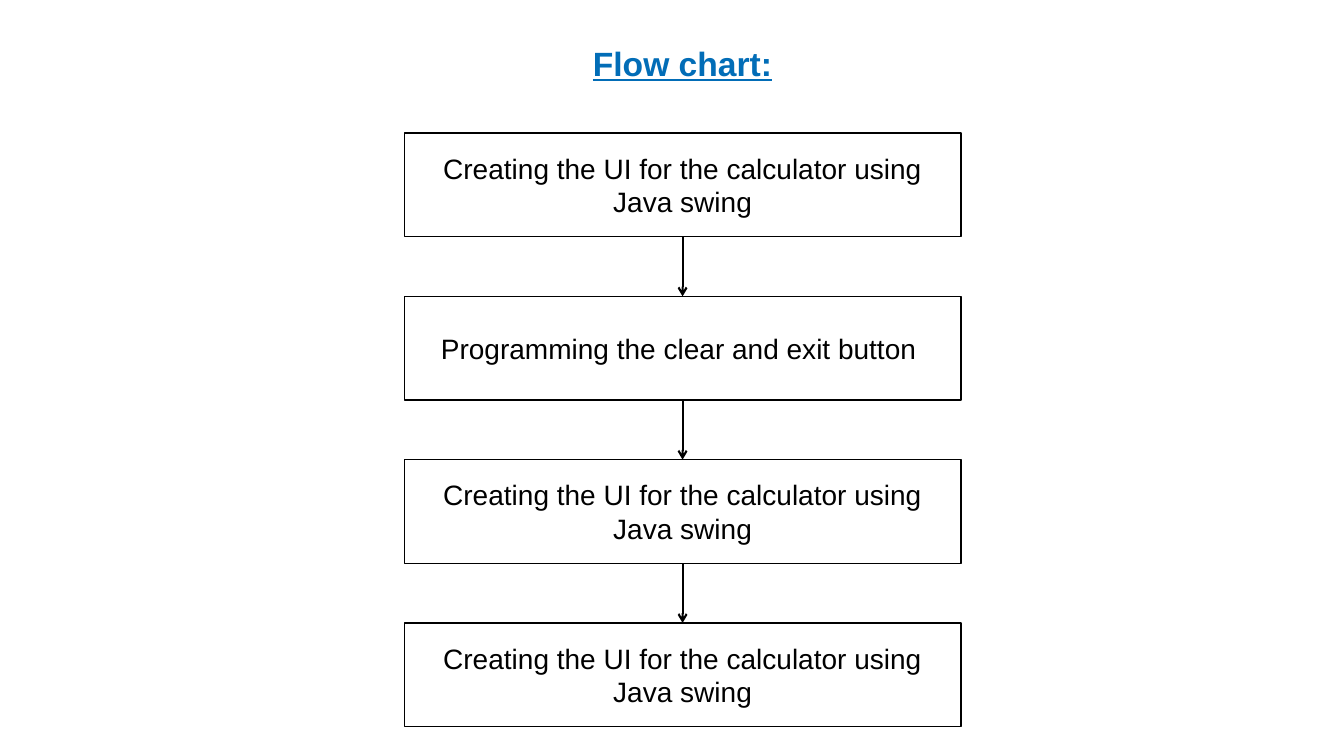
import pptx
import pptx.dml.color
import pptx.enum.shapes
import pptx.enum.text
import pptx.oxml.ns
import pptx.util
from lxml import etree

TITLE = "Flow chart:"
STEPS = [
    "Creating the UI for the calculator using Java swing",
    "Programming the clear and exit button ",
    "Creating the UI for the calculator using Java swing",
    "Creating the UI for the calculator using Java swing",
]

BLUE = pptx.dml.color.RGBColor(0x02, 0x6D, 0xB7)
BLACK = pptx.dml.color.RGBColor(0, 0, 0)
WHITE = pptx.dml.color.RGBColor(255, 255, 255)

SLIDE_WIDTH, SLIDE_HEIGHT = 13.33, 7.5
CENTER = 6.77
TITLE_TOP, TITLE_WIDTH, TITLE_HEIGHT = 0.19, 10, 0.69
STEP_TOP, STEP_WIDTH, STEP_HEIGHT = 1.32, 5.52, 1.03
STEP_PITCH = 1.62
BOTTOM_SIDE, TOP_SIDE = 2, 0


def write_text(shape, text, size, color, anchor):
    frame = shape.text_frame
    frame.word_wrap = True
    frame.vertical_anchor = anchor
    paragraph = frame.paragraphs[0]
    paragraph.text = text
    paragraph.alignment = pptx.enum.text.PP_ALIGN.CENTER
    paragraph.font.name = "Arial"
    paragraph.font.size = pptx.util.Pt(size)
    paragraph.font.color.rgb = color
    return paragraph


def centered_box(top, width, height):
    """Return left, top, width and height of a box on the chart's axis."""
    return [pptx.util.Inches(length)
            for length in (CENTER - width / 2, top, width, height)]


def add_title(slide):
    title = slide.shapes.add_textbox(
        *centered_box(TITLE_TOP, TITLE_WIDTH, TITLE_HEIGHT))
    paragraph = write_text(title, TITLE, 24, BLUE,
                           pptx.enum.text.MSO_ANCHOR.BOTTOM)
    paragraph.line_spacing = 0.9
    paragraph.font.bold = True
    paragraph.font.underline = True


def add_step(slide, row, text):
    step = slide.shapes.add_shape(
        pptx.enum.shapes.MSO_SHAPE.RECTANGLE,
        *centered_box(STEP_TOP + row * STEP_PITCH, STEP_WIDTH, STEP_HEIGHT))
    step.shadow.inherit = False
    step.fill.solid()
    step.fill.fore_color.rgb = WHITE
    step.line.color.rgb = BLACK
    step.line.width = pptx.util.Pt(1)
    write_text(step, text, 20, BLACK, pptx.enum.text.MSO_ANCHOR.MIDDLE)
    return step


def add_arrow(slide, upper, lower):
    arrow = slide.shapes.add_connector(
        pptx.enum.shapes.MSO_CONNECTOR.STRAIGHT, 0, 0, 0, 0)
    arrow.begin_connect(upper, BOTTOM_SIDE)
    arrow.end_connect(lower, TOP_SIDE)
    arrow.line.color.rgb = BLACK
    arrow.line.width = pptx.util.Pt(1.5)
    properties = arrow.element.spPr
    line = properties.find(pptx.oxml.ns.qn("a:ln"))
    etree.SubElement(line, pptx.oxml.ns.qn("a:tailEnd"), type="arrow")
    etree.SubElement(properties, pptx.oxml.ns.qn("a:effectLst"))


def main():
    presentation = pptx.Presentation()
    presentation.slide_width = pptx.util.Inches(SLIDE_WIDTH)
    presentation.slide_height = pptx.util.Inches(SLIDE_HEIGHT)
    slide = presentation.slides.add_slide(presentation.slide_layouts[6])

    add_title(slide)
    steps = [add_step(slide, row, text) for row, text in enumerate(STEPS)]
    for upper, lower in zip(steps, steps[1:]):
        add_arrow(slide, upper, lower)

    presentation.save("out.pptx")


if __name__ == "__main__":
    main()
